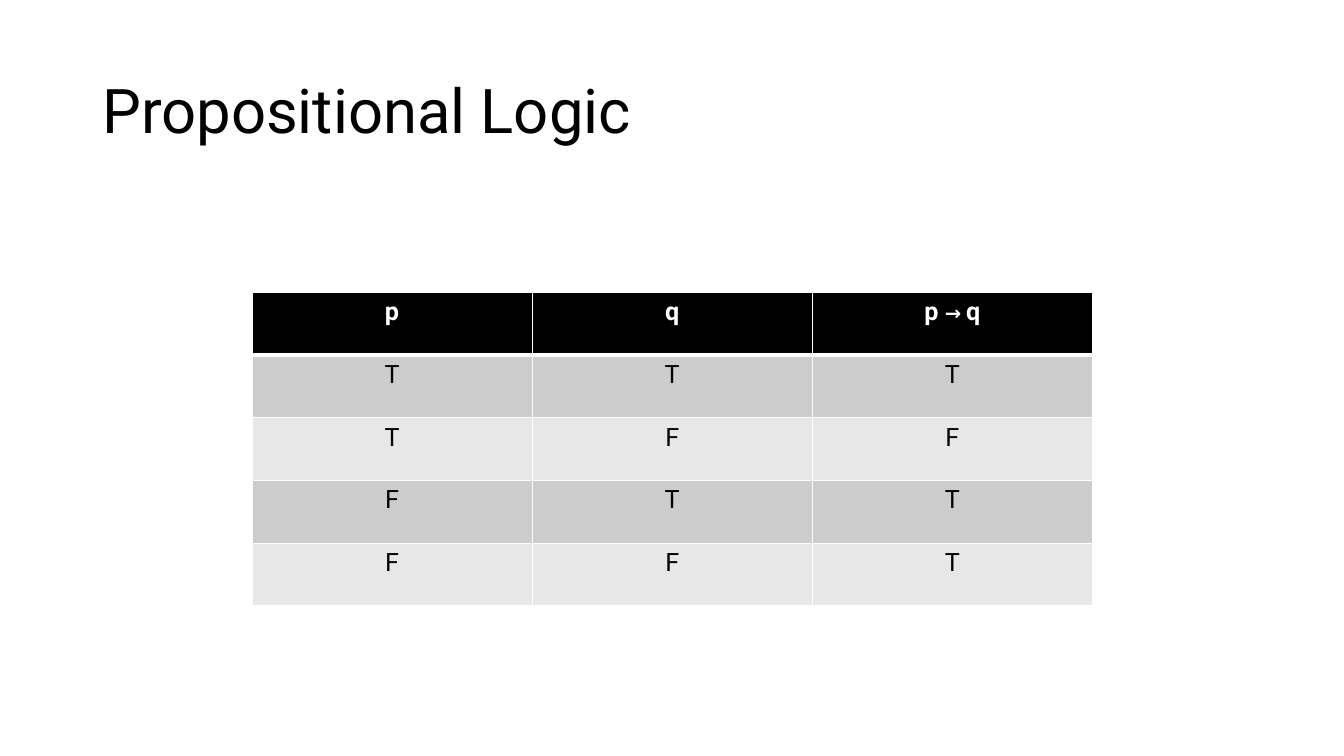
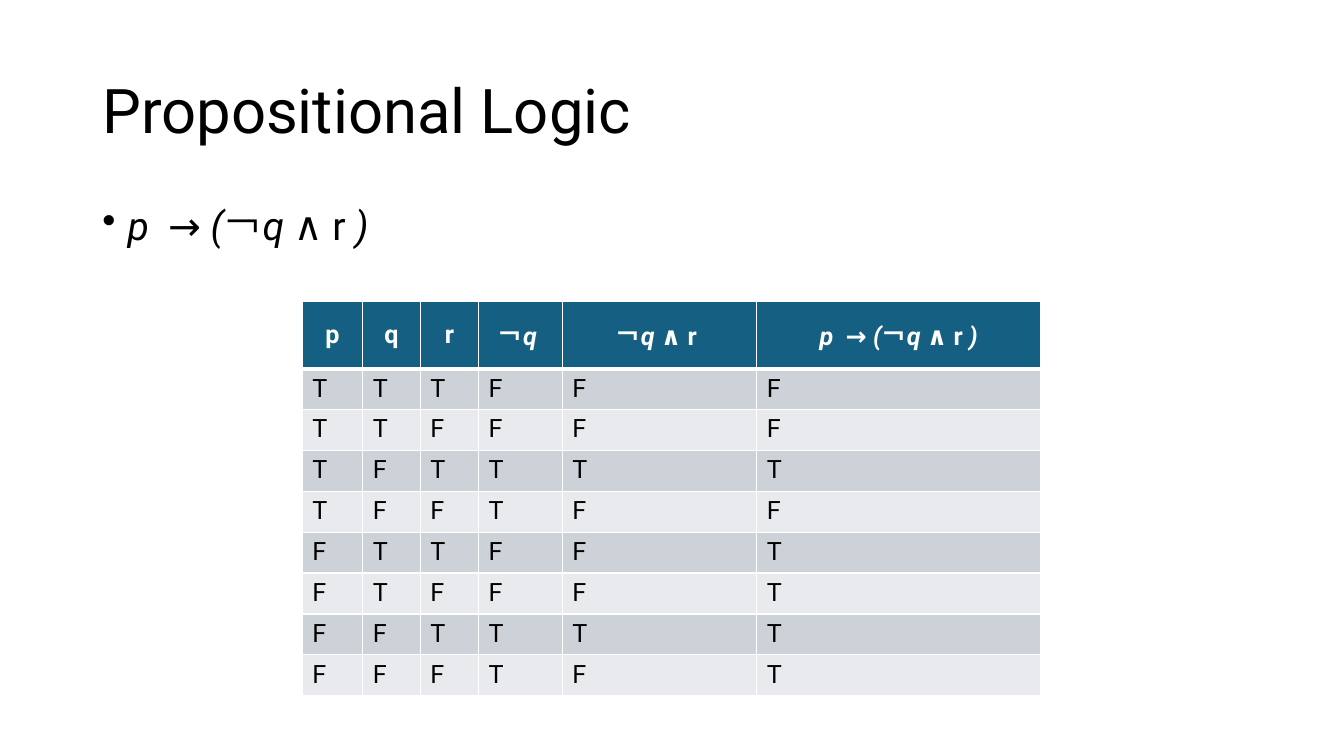
from itertools import product

from lxml.etree import SubElement
from pptx import Presentation
from pptx.dml.color import RGBColor
from pptx.enum.text import MSO_ANCHOR, PP_ALIGN
from pptx.oxml.ns import qn
from pptx.util import Cm, Pt

BLACK, WHITE = "000000", "FFFFFF"
NOT_Q = [("￢", {}), ("q ", {"italic": True})]
NOT_Q_AND_R = NOT_Q + [("∧ r ", {})]
FORMULA = [("p ", {"italic": True, "tracking": 0.12}), ("→ ", {}),
           ("(", {"italic": True}), *NOT_Q_AND_R, (")", {"italic": True})]


def color(value):
    return RGBColor.from_string(value)


def truth(value):
    return "T" if value else "F"


def add_span(para, text, size=18, ink=BLACK, bold=False, italic=False,
             tracking=0, font="Roboto"):
    """Add formatted text; tracking is extra letter spacing in ems."""
    span = para.add_run()
    span.text = text
    span.font.name = font
    span.font.size = Pt(size)
    span.font.bold = bold
    span.font.italic = italic
    span.font.color.rgb = color(ink)
    if tracking:
        span.font._element.set("spc", str(round(tracking * size * 100)))


def write(para, content, **style):
    """Write a plain string or a list of (text, format) pairs."""
    pieces = [(content, {})] if isinstance(content, str) else content
    for text, extra in pieces:
        add_span(para, text, **{**style, **extra})


class LogicDeck:
    title_size, body_size = 44, 28
    line_spacing = 0.9

    def __init__(self):
        self.deck = Presentation()
        self.deck.slide_width, self.deck.slide_height = Cm(33.87), Cm(19.05)
        self.page = None

    def add_page(self, title):
        self.page = self.deck.slides.add_slide(self.deck.slide_layouts[6])
        self.add_text(title, top=1.02, height=3.68, size=self.title_size,
                      anchor=MSO_ANCHOR.MIDDLE)

    def add_text(self, content, top, height, size, anchor=MSO_ANCHOR.TOP,
                 bullet=False):
        box = self.page.shapes.add_textbox(Cm(2.33), Cm(top), Cm(29.21), Cm(height))
        frame = box.text_frame
        frame.word_wrap = True
        frame.vertical_anchor = anchor
        para = frame.paragraphs[0]
        if bullet:
            props = para._p.get_or_add_pPr()
            props.set("marL", str(Cm(0.64)))
            props.set("indent", str(-Cm(0.64)))
            SubElement(props, qn("a:buChar"), char="•")
        para.line_spacing = self.line_spacing
        write(para, content, size=size)

    def add_truth_table(self, rows, left, top, widths, heights, head_fill,
                        bands, head_anchor=MSO_ANCHOR.TOP, body_align=PP_ALIGN.LEFT):
        frame = self.page.shapes.add_table(
            len(rows), len(widths), Cm(left), Cm(top),
            Cm(sum(widths)), Cm(sum(heights)))
        table = frame.table
        table.horz_banding = False
        for column, width in zip(table.columns, widths):
            column.width = Cm(width)
        for index, (row, height, values) in enumerate(zip(table.rows, heights, rows)):
            row.height = Cm(height)
            head = index == 0
            for cell, content in zip(row.cells, values):
                cell.vertical_anchor = head_anchor if head else MSO_ANCHOR.TOP
                # Borders: a thick rule separates the header from the body
                self.add_borders(cell, top=3 if index == 1 else 1,
                                 bottom=3 if head else 1)
                cell.fill.solid()
                cell.fill.fore_color.rgb = color(
                    head_fill if head else bands[(index - 1) % 2])
                para = cell.text_frame.paragraphs[0]
                para.alignment = PP_ALIGN.CENTER if head else body_align
                write(para, content, ink=WHITE if head else BLACK, bold=head)

    def add_borders(self, cell, top, bottom):
        props = cell._tc.get_or_add_tcPr()
        for side, width in (("L", 1), ("R", 1), ("T", top), ("B", bottom)):
            line = SubElement(props, qn(f"a:ln{side}"), w=str(Pt(width)))
            fill = SubElement(line, qn("a:solidFill"))
            SubElement(fill, qn("a:srgbClr"), val=WHITE)


def main():
    logic = LogicDeck()

    # Implication
    logic.add_page("Propositional Logic")
    rows = [["p", "q", [("p ", {}), ("→ ", {"size": 14}), ("q", {})]]]
    for p, q in product((True, False), repeat=2):
        rows.append([truth(value) for value in (p, q, not p or q)])
    logic.add_truth_table(rows, 6.35, 7.37, [7.06] * 3, [1.58] * 5,
                          head_fill=BLACK, bands=("CCCCCC", "E7E7E7"),
                          body_align=PP_ALIGN.CENTER)

    # Compound formula
    logic.add_page("Propositional Logic")
    logic.add_text(FORMULA, top=5.08, height=12.09, size=logic.body_size, bullet=True)
    rows = [["p", "q", "r", NOT_Q, NOT_Q_AND_R, FORMULA]]
    for p, q, r in product((True, False), repeat=3):
        both = not q and r
        rows.append([truth(value) for value in (p, q, r, not q, both, not p or both)])
    logic.add_truth_table(rows, 7.62, 7.59, [1.52, 1.45, 1.47, 2.11, 4.9, 7.16],
                          [1.7] + [1.03] * 8, head_fill="156082",
                          bands=("CCD2D8", "E8EAED"), head_anchor=MSO_ANCHOR.MIDDLE)

    logic.deck.save("out.pptx")


if __name__ == "__main__":
    main()
